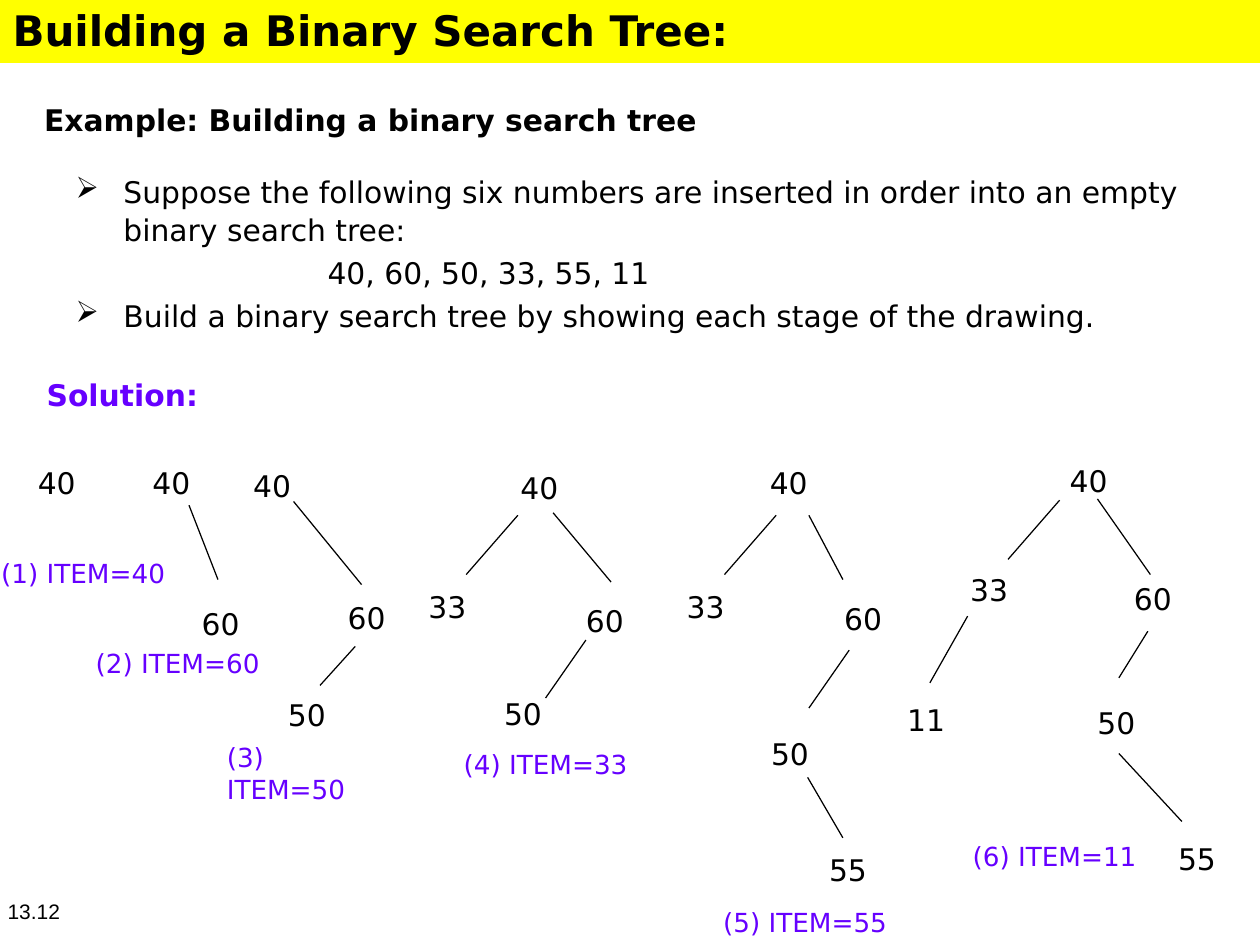
"""Build a slide showing six stages of inserting numbers into a binary search tree."""
from dataclasses import dataclass

from lxml import etree
from pptx import Presentation
from pptx.dml.color import RGBColor
from pptx.enum.shapes import MSO_CONNECTOR, MSO_SHAPE
from pptx.enum.text import PP_ALIGN
from pptx.oxml.ns import qn
from pptx.slide import Slide
from pptx.util import Inches, Pt

STRAIGHT = MSO_CONNECTOR.STRAIGHT
RECTANGLE = MSO_SHAPE.RECTANGLE
LEFT, CENTER = PP_ALIGN.LEFT, PP_ALIGN.CENTER


@dataclass(frozen=True)
class Theme:
    ink: RGBColor = RGBColor(0x00, 0x00, 0x00)
    accent: RGBColor = RGBColor(0x66, 0x00, 0xFF)
    band: RGBColor = RGBColor(0xFF, 0xFF, 0x00)
    font: str = "DejaVu Sans"
    number_font: str = "Arial"
    title: float = 24
    body: float = 17
    caption: float = 15
    number: float = 12
    edge: float = 0.72


THEME = Theme()


@dataclass(frozen=True)
class Line:
    text: str
    size: float = THEME.body
    color: RGBColor = THEME.ink
    bold: bool = False
    font: str = THEME.font
    indent: float = 0.01
    before: float = 0
    spacing: float = 1.0
    align: PP_ALIGN = LEFT
    bullet: bool = False


@dataclass(frozen=True)
class Node:
    key: str
    left: float
    top: float


@dataclass(frozen=True)
class Edge:
    x1: float
    y1: float
    x2: float
    y2: float


@dataclass(frozen=True)
class Caption:
    left: float
    top: float
    height: float
    lines: tuple[Line, ...]
    inset: float = 0.01
    right_inset: float = 0


@dataclass(frozen=True)
class Stage:
    nodes: tuple[Node, ...]
    edges: tuple[Edge, ...]
    caption: Caption


def item(text: str, before: float = 0) -> Line:
    return Line(text, THEME.caption, THEME.accent, before=before)


STAGES = (
    Stage((Node("40", 0.29, 3.68),), (),
          Caption(0, 4.41, 0.28, (item("(1) ITEM=40"),))),
    Stage((Node("40", 1.2, 3.68),), (Edge(1.5, 4.01, 1.73, 4.6),),
          Caption(0.75, 4.74, 0.66, (Line("60", indent=0.85), item("(2) ITEM=60", 3.3)), 0.07)),
    Stage((Node("40", 2, 3.7), Node("60", 2.75, 4.75)),
          (Edge(2.33, 3.98, 2.87, 4.64), Edge(2.82, 5.13, 2.54, 5.44)),
          Caption(1.79, 5.43, 0.71,
                  (Line("50", indent=0, align=CENTER), item("(3) ITEM=50", 5.1)), 0.1, 0.09)),
    Stage((Node("40", 4.12, 3.72), Node("33", 3.39, 4.66), Node("60", 4.64, 4.77)),
          (Edge(4.11, 4.09, 3.7, 4.56), Edge(4.39, 4.07, 4.85, 4.62),
           Edge(4.65, 5.08, 4.33, 5.54)),
          Caption(3.67, 5.36, 0.85, (Line("50", indent=0.33), item("(4) ITEM=33", 9.6)), 0.16)),
    Stage((Node("40", 6.1, 3.68), Node("33", 5.44, 4.66), Node("60", 6.69, 4.76),
           Node("50", 6.11, 5.83)),
          (Edge(6.16, 4.09, 5.75, 4.56), Edge(6.42, 4.09, 6.69, 4.6),
           Edge(6.74, 5.16, 6.42, 5.62), Edge(6.41, 6.17, 6.69, 6.65)),
          Caption(5.73, 6.75, 0.71, (Line("55", indent=0.85), item("(5) ITEM=55", 11)))),
    Stage((Node("40", 8.48, 3.66), Node("33", 7.69, 4.53), Node("60", 8.99, 4.6),
           Node("11", 7.19, 5.56), Node("50", 8.7, 5.58), Node("55", 9.34, 6.66)),
          (Edge(8.41, 3.97, 8, 4.44), Edge(8.71, 3.96, 9.13, 4.56),
           Edge(7.68, 4.89, 7.38, 5.42), Edge(9.11, 5.01, 8.88, 5.38),
           Edge(8.88, 5.98, 9.38, 6.52)),
          Caption(7.71, 6.66, 1.38, (item("(6) ITEM=11"),))),
)

EXERCISE = (
    Line("Example: Building a binary search tree", bold=True),
    Line("Suppose the following six numbers are inserted in order into an empty "
         "binary search tree:", indent=0.64, before=19.3, spacing=1.07, bullet=True),
    Line("40, 60, 50, 33, 55, 11", indent=2.26, before=4),
    Line("Build a binary search tree by showing each stage of the drawing.",
         indent=0.64, before=4.1, bullet=True),
    Line("Solution:", color=THEME.accent, bold=True, indent=0.03, before=24.5),
)


def add_text(slide: Slide, left: float, top: float, width: float, height: float,
             lines: tuple[Line, ...], inset: float = 0.01, right_inset: float = 0) -> None:
    box = slide.shapes.add_textbox(Inches(left), Inches(top), Inches(width), Inches(height))
    frame = box.text_frame
    frame.word_wrap = True
    frame.margin_left = frame.margin_bottom = 0
    frame.margin_top, frame.margin_right = Inches(inset), Inches(right_inset)
    frame.text = "\n".join(line.text for line in lines)
    for index, (paragraph, line) in enumerate(zip(frame.paragraphs, lines)):
        paragraph.alignment = line.align
        paragraph.line_spacing = line.spacing
        if index:
            paragraph.space_before = Pt(line.before)
        properties = paragraph._p.get_or_add_pPr()
        properties.set("marL", str(Inches(line.indent)))
        if line.bullet:
            properties.set("indent", str(Inches(-0.38)))
            etree.SubElement(properties, qn("a:buChar")).set("char", "➢")
        for run in paragraph.runs:
            run.font.name = line.font
            run.font.size = Pt(line.size)
            run.font.bold = line.bold
            run.font.color.rgb = line.color


def add_edge(slide: Slide, edge: Edge) -> None:
    branch = slide.shapes.add_connector(
        STRAIGHT, Inches(edge.x1), Inches(edge.y1), Inches(edge.x2), Inches(edge.y2))
    branch.line.color.rgb = THEME.ink
    branch.line.width = Pt(THEME.edge)
    etree.SubElement(branch._element.spPr, qn("a:effectLst"))


def add_stage(slide: Slide, stage: Stage) -> None:
    for edge in stage.edges:
        add_edge(slide, edge)
    for node in stage.nodes:
        add_text(slide, node.left, node.top, 0.33, 0.31, (Line(node.key),))
    caption = stage.caption
    add_text(slide, caption.left, caption.top, 1.38, caption.height, caption.lines,
             caption.inset, caption.right_inset)


def add_title_band(slide: Slide) -> None:
    band = slide.shapes.add_shape(RECTANGLE, 0, 0, Inches(10), Inches(0.5))
    band.shadow.inherit = False
    band.fill.solid()
    band.fill.fore_color.rgb = THEME.band
    band.line.fill.background()
    add_text(slide, 0.09, 0.03, 5.7, 0.43,
             (Line("Building a Binary Search Tree:", THEME.title, bold=True),))


def main() -> None:
    deck = Presentation()
    deck.slide_width, deck.slide_height = Inches(10), Inches(7.5)
    slide = deck.slides.add_slide(deck.slide_layouts[6])
    add_text(slide, 0.34, 0.8, 9.07, 2.46, EXERCISE)
    add_title_band(slide)
    for stage in STAGES:
        add_stage(slide, stage)
    add_text(slide, 0.05, 7.12, 0.45, 0.23,
             (Line("13.12", THEME.number, font=THEME.number_font),))
    deck.save("out.pptx")


if __name__ == "__main__":
    main()
